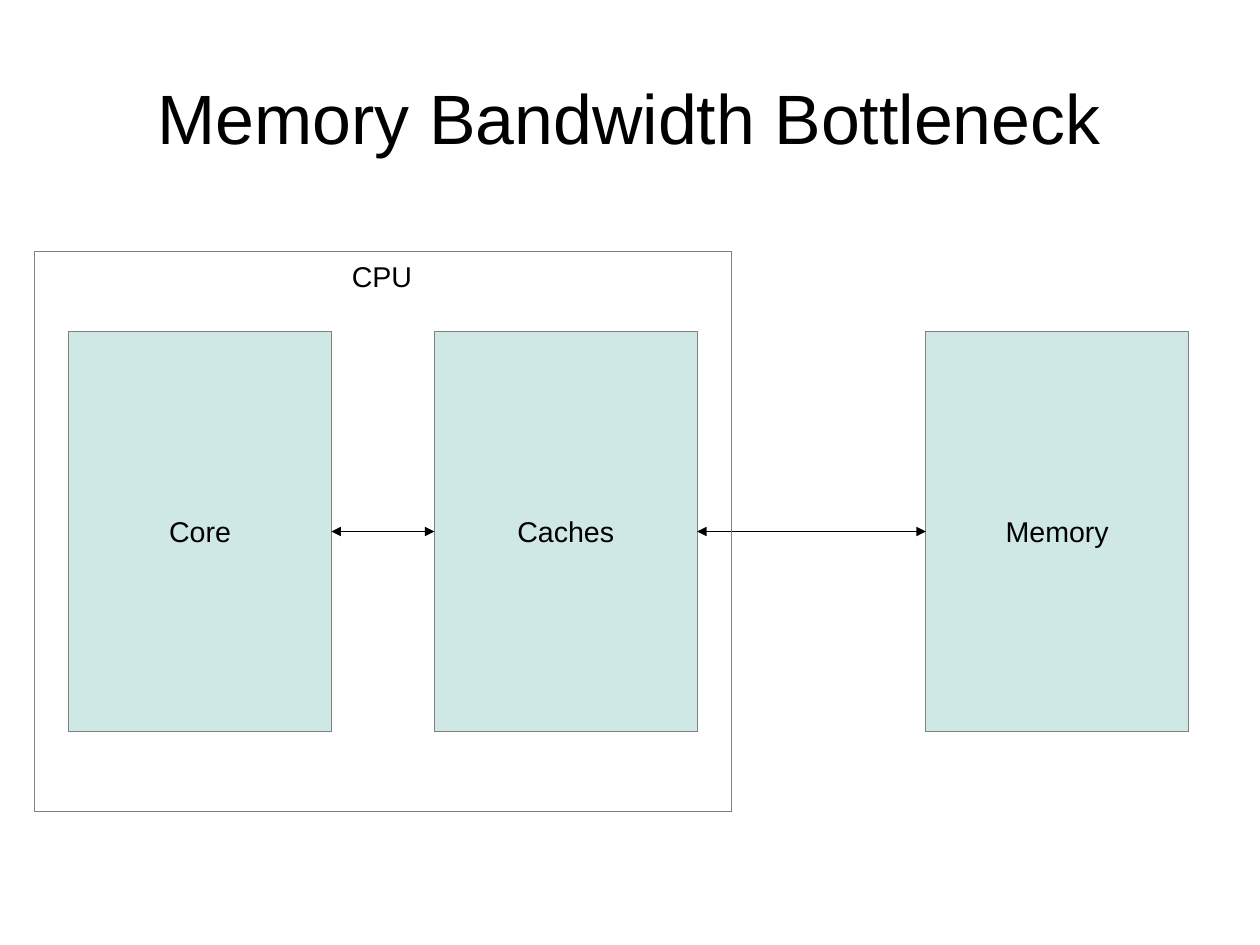
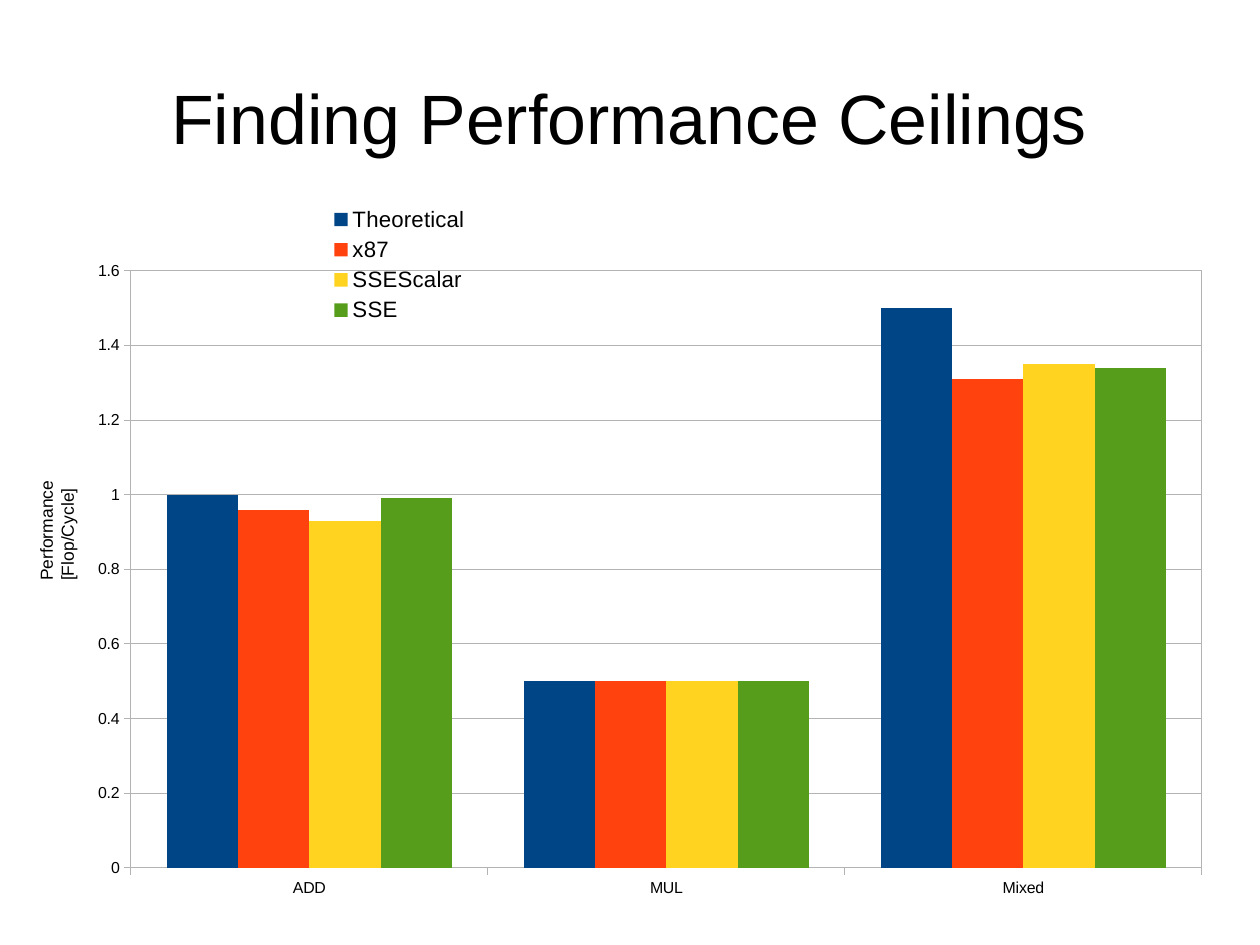
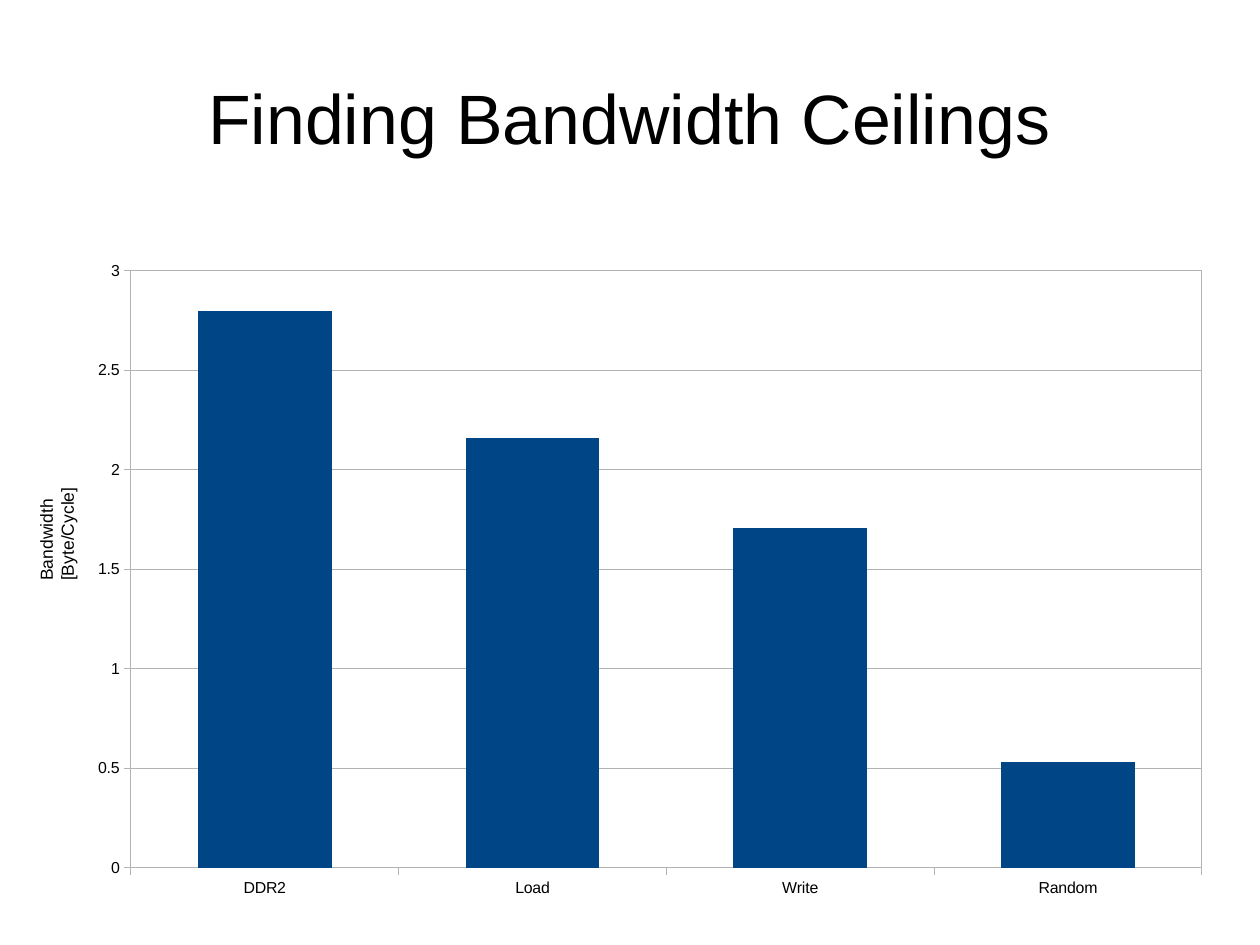
from lxml import etree
from pptx import Presentation
from pptx.chart.data import CategoryChartData
from pptx.dml.color import RGBColor
from pptx.enum.chart import XL_CHART_TYPE, XL_LEGEND_POSITION, XL_TICK_MARK
from pptx.enum.shapes import MSO_CONNECTOR, MSO_SHAPE
from pptx.enum.text import MSO_ANCHOR, PP_ALIGN
from pptx.oxml import parse_xml
from pptx.oxml.ns import nsdecls, qn
from pptx.util import Inches, Pt

FONT = "Arial"
BLACK = RGBColor(0x00, 0x00, 0x00)
GRAY = RGBColor(0x80, 0x80, 0x80)
GRID = RGBColor(0xB3, 0xB3, 0xB3)
TEAL = RGBColor(0xCF, 0xE7, 0xE5)
SERIES_COLORS = [
    RGBColor(0x00, 0x45, 0x86),
    RGBColor(0xFF, 0x42, 0x0E),
    RGBColor(0xFF, 0xD3, 0x20),
    RGBColor(0x57, 0x9D, 0x1C),
]
# A width of exactly zero is not written, and the theme width would apply
HAIRLINE = Pt(0.01)


def write_text(shape, text, size=18, align=PP_ALIGN.LEFT,
               anchor=MSO_ANCHOR.TOP, wrap=False, margins=(0.1, 0.05)):
    frame = shape.text_frame
    frame.text = text
    frame.word_wrap = wrap
    frame.vertical_anchor = anchor
    frame.margin_left = frame.margin_right = Inches(margins[0])
    frame.margin_top = frame.margin_bottom = Inches(margins[1])
    for paragraph in frame.paragraphs:
        paragraph.alignment = align
        for run in paragraph.runs:
            run.font.name = FONT
            run.font.size = Pt(size)
            run.font.color.rgb = BLACK


def manual_layout(x, y, width, height, target=""):
    return parse_xml(
        f'<c:layout {nsdecls("c")}><c:manualLayout>{target}'
        '<c:xMode val="edge"/><c:yMode val="edge"/>'
        f'<c:x val="{x}"/><c:y val="{y}"/><c:w val="{width}"/><c:h val="{height}"/>'
        '</c:manualLayout></c:layout>')


# Page of 28 by 21 cm
presentation = Presentation()
presentation.slide_width = Inches(28 / 2.54)
presentation.slide_height = Inches(21 / 2.54)

# Slides with their titles
slides = []
for title in ["Memory Bandwidth Bottleneck", "Finding Performance Ceilings",
              "Finding Bandwidth Ceilings"]:
    slide = presentation.slides.add_slide(presentation.slide_layouts[6])
    title_box = slide.shapes.add_textbox(
        Inches(0.55), Inches(0.33), Inches(9.92), Inches(1.38))
    write_text(title_box, title, size=44, align=PP_ALIGN.CENTER,
               anchor=MSO_ANCHOR.MIDDLE, wrap=True, margins=(0, 0))
    slides.append(slide)
diagram_slide, *chart_slides = slides

# Diagram blocks
blocks = []
for name, left in [("Core", 0.6), ("Caches", 3.8), ("Memory", 8.1)]:
    block = diagram_slide.shapes.add_shape(
        MSO_SHAPE.RECTANGLE, Inches(left), Inches(2.9), Inches(2.3), Inches(3.5))
    block.shadow.inherit = False
    block.fill.solid()
    block.fill.fore_color.rgb = TEAL
    block.line.color.rgb = GRAY
    block.line.width = HAIRLINE
    write_text(block, name, align=PP_ALIGN.CENTER, anchor=MSO_ANCHOR.MIDDLE)
    blocks.append(block)

# Two-way arrows between neighbouring blocks
for source, target in zip(blocks, blocks[1:]):
    arrow = diagram_slide.shapes.add_connector(MSO_CONNECTOR.STRAIGHT, 0, 0, 0, 0)
    arrow.begin_connect(source, 3)
    arrow.end_connect(target, 1)
    arrow.line.color.rgb = BLACK
    arrow.line.width = HAIRLINE
    line = arrow.line._get_or_add_ln()
    for end in ("a:headEnd", "a:tailEnd"):
        etree.SubElement(line, qn(end), type="triangle")
    etree.SubElement(arrow._element.spPr, qn("a:effectLst"))

# CPU frame
cpu_frame = diagram_slide.shapes.add_shape(
    MSO_SHAPE.RECTANGLE, Inches(0.3), Inches(2.2), Inches(6.1), Inches(4.9))
cpu_frame.shadow.inherit = False
cpu_frame.fill.background()
cpu_frame.line.color.rgb = GRAY
cpu_frame.line.width = HAIRLINE
cpu_label = diagram_slide.shapes.add_textbox(
    Inches(2.98), Inches(2.22), Inches(0.73), Inches(0.38))
write_text(cpu_label, "CPU")

# Column charts: categories, series, axis maximum and step, axis label and its box
charts = [
    (["ADD", "MUL", "Mixed"],
     {"Theoretical": [1, 0.5, 1.5], "x87": [0.96, 0.5, 1.31],
      "SSEScalar": [0.93, 0.5, 1.35], "SSE": [0.99, 0.5, 1.34]},
     1.6, 0.2, "Performance\n[Flop/Cycle]", (-0.06, 4.42, 1.08)),
    (["DDR2", "Load", "Write", "Random"],
     {"Series 1": [2.8, 2.16, 1.71, 0.53]},
     3, 0.5, "Bandwidth\n[Byte/Cycle]", (-0.03, 4.45, 1.02)),
]
for slide, (categories, series_values, maximum, step, label, label_place) in zip(
        chart_slides, charts):
    data = CategoryChartData()
    data.categories = categories
    for name, values in series_values.items():
        data.add_series(name, values)
    chart = slide.shapes.add_chart(
        XL_CHART_TYPE.COLUMN_CLUSTERED, Inches(0.48), Inches(1.7),
        Inches(10.22), Inches(6.5), data).chart
    chart.has_title = False
    chart.font.name = FONT
    chart.font.size = Pt(10)
    chart.font.color.rgb = BLACK

    plot = chart.plots[0]
    plot.gap_width = 100
    plot.overlap = 0
    plot.vary_by_categories = False
    for series, color in zip(plot.series, SERIES_COLORS):
        series.format.fill.solid()
        series.format.fill.fore_color.rgb = color

    # Axes and grid
    value_axis = chart.value_axis
    value_axis.minimum_scale = 0
    value_axis.maximum_scale = maximum
    value_axis.major_unit = step
    value_axis.tick_labels.number_format = "General"
    value_axis.tick_labels.number_format_is_linked = False
    value_axis.has_major_gridlines = True
    for axis in (value_axis, chart.category_axis):
        axis.major_tick_mark = XL_TICK_MARK.OUTSIDE
    for axis_line in (value_axis.format.line, chart.category_axis.format.line,
                      value_axis.major_gridlines.format.line):
        axis_line.color.rgb = GRID
        axis_line.width = HAIRLINE

    # Plot area place and border
    plot_area = chart._chartSpace.chart.plotArea
    for old_layout in plot_area.findall(qn("c:layout")):
        plot_area.remove(old_layout)
    plot_area.insert(0, manual_layout(
        0.037, 0.091, 0.945, 0.855, '<c:layoutTarget val="outer"/>'))
    plot_area.append(parse_xml(
        f'<c:spPr {nsdecls("c", "a")}><a:noFill/><a:ln w="0"><a:solidFill>'
        f'<a:srgbClr val="{GRID}"/></a:solidFill></a:ln></c:spPr>'))

    # Legend over the plot
    chart.has_legend = len(series_values) > 1
    if chart.has_legend:
        legend = chart.legend
        legend.position = XL_LEGEND_POSITION.RIGHT
        legend.include_in_layout = False
        legend.font.name = FONT
        legend.font.size = Pt(14)
        legend.font.color.rgb = BLACK
        for old_layout in legend._element.findall(qn("c:layout")):
            legend._element.remove(old_layout)
        legend._element.find(qn("c:legendPos")).addnext(
            manual_layout(0.22, 0.01, 0.15, 0.17))

    # Rotated axis label
    left, top, width = label_place
    axis_label = slide.shapes.add_textbox(
        Inches(left), Inches(top), Inches(width), Inches(0.44))
    axis_label.rotation = 270
    write_text(axis_label, label, size=11)

presentation.save("out.pptx")
